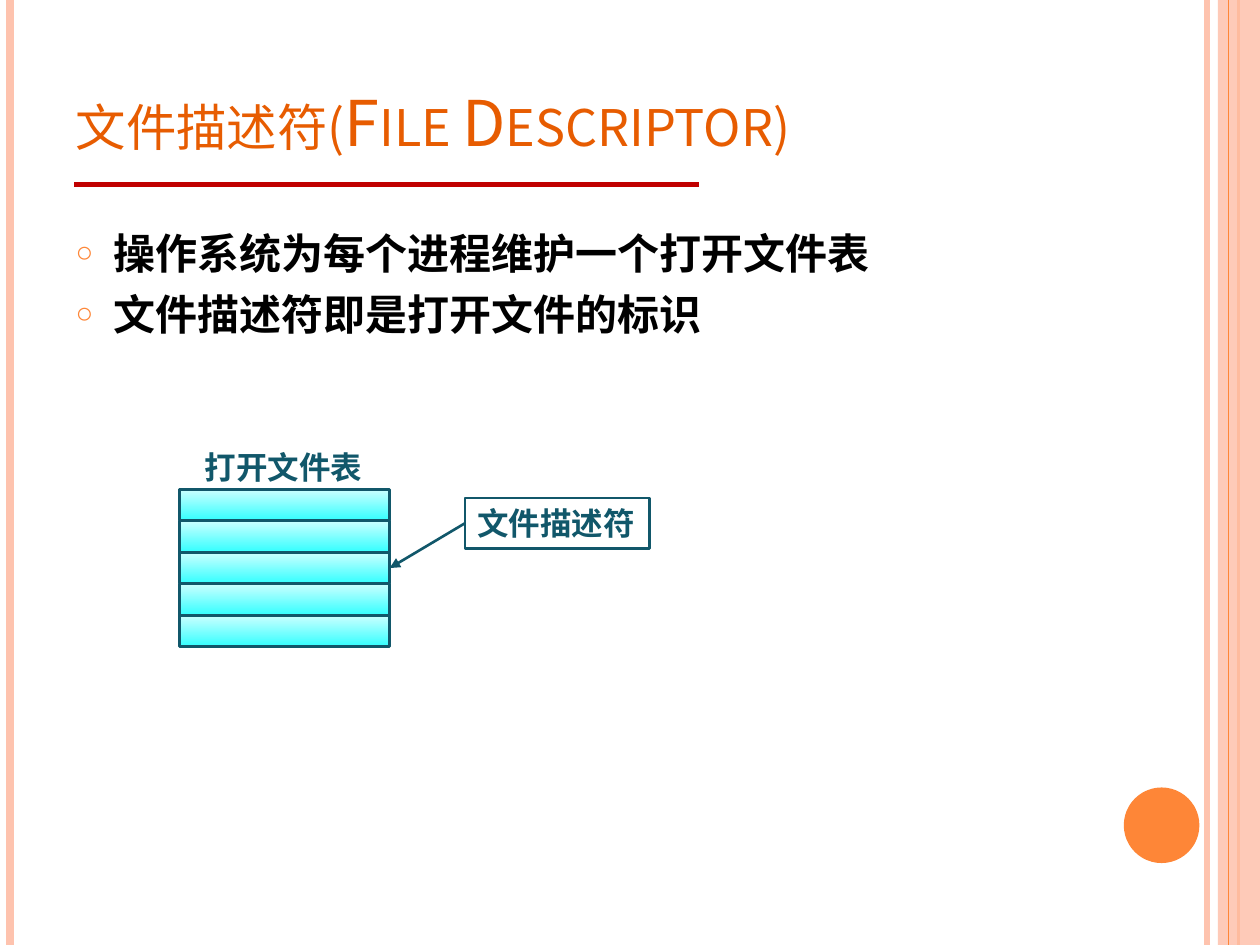
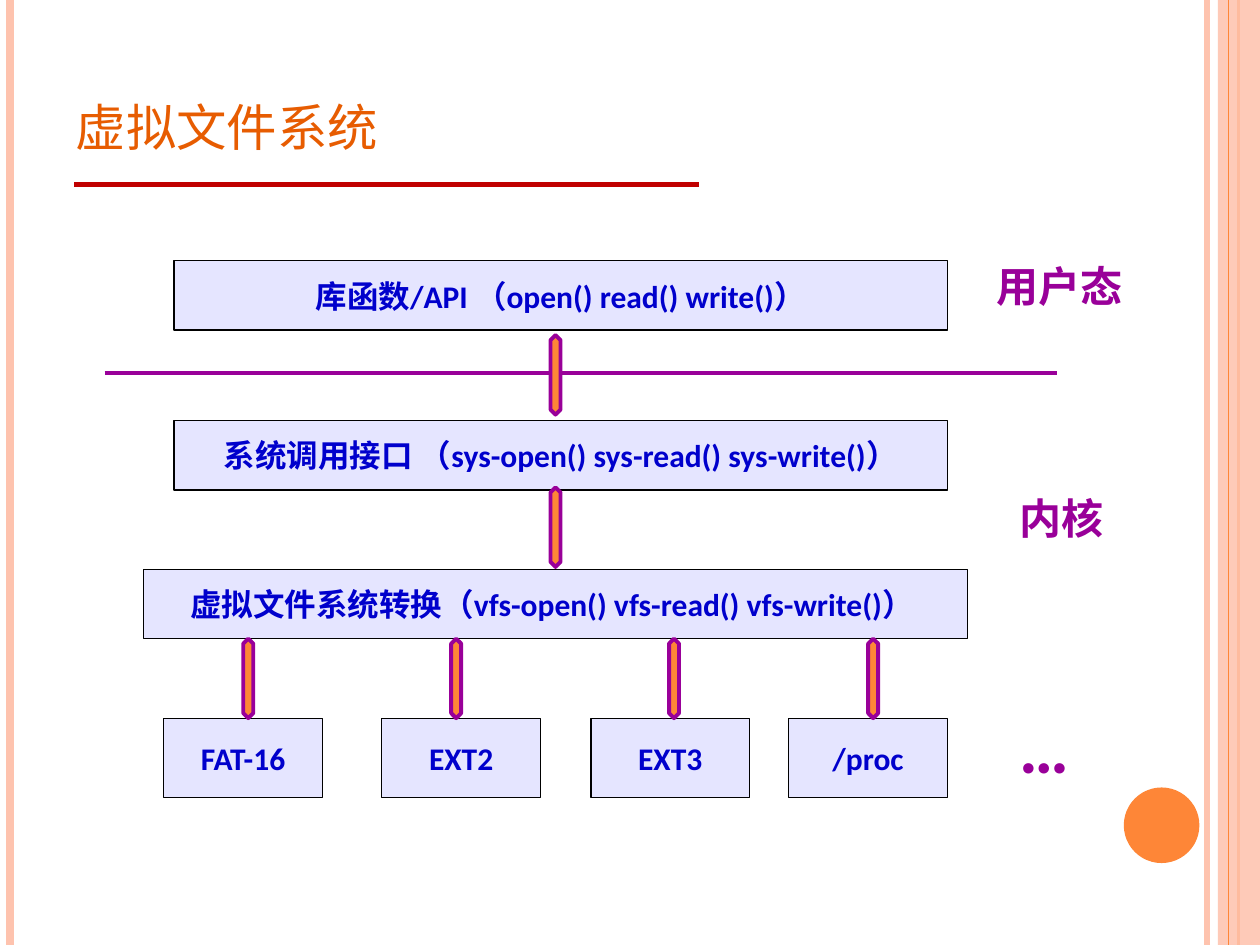
"""Build two slides on file descriptors and the virtual file system."""
from lxml import etree
from pptx import Presentation
from pptx.dml.color import RGBColor
from pptx.enum.shapes import MSO_CONNECTOR, MSO_SHAPE
from pptx.enum.text import MSO_ANCHOR as ANCHOR, MSO_AUTO_SIZE as AUTO_SIZE, PP_ALIGN as ALIGN
from pptx.oxml.ns import qn
from pptx.util import Pt

PEACH = RGBColor(0xFE, 0xC3, 0xAE)
ORANGE = RGBColor(0xFE, 0x86, 0x37)
TITLE_ORANGE = RGBColor(0xE7, 0x5C, 0x01)
RED = RGBColor(0xC0, 0x00, 0x00)
BLACK = RGBColor(0x00, 0x00, 0x00)
TEAL = RGBColor(0x11, 0x57, 0x6A)
PALE_CYAN = RGBColor(0xCC, 0xFF, 0xFF)
CYAN = RGBColor(0x33, 0xFF, 0xFF)
LAVENDER = RGBColor(0xE5, 0xE5, 0xFF)
BLUE = RGBColor(0x00, 0x00, 0xCC)
PURPLE = RGBColor(0x99, 0x00, 0x99)
CJK_FONT = "Noto Sans CJK SC"


def write_text(shape, *lines, size, color, font="Calibri", bold=True, small_caps=False,
               align=ALIGN.LEFT, anchor=ANCHOR.TOP, wrap=False, bullet=None, spacing=None):
    frame = shape.text_frame
    frame.word_wrap = wrap
    frame.auto_size = AUTO_SIZE.NONE
    frame.vertical_anchor = anchor
    for index, line in enumerate(lines):
        paragraph = frame.paragraphs[0] if index == 0 else frame.add_paragraph()
        paragraph.alignment = align
        paragraph.space_before = Pt(6 if index else 0)
        if spacing:
            paragraph.line_spacing = Pt(spacing)
        if bullet:
            properties = paragraph._p.get_or_add_pPr()
            properties.set("marL", str(Pt(21.6)))
            properties.set("indent", str(Pt(-21.6)))
            bullet_color = etree.SubElement(properties, qn("a:buClr"))
            etree.SubElement(bullet_color, qn("a:srgbClr"), val=str(ORANGE))
            etree.SubElement(properties, qn("a:buSzPct"), val="70000")
            etree.SubElement(properties, qn("a:buChar"), char=bullet)
        run = paragraph.add_run()
        run.text = line
        run.font.size = Pt(size)
        run.font.bold = bold
        run.font.name = font
        run.font.color.rgb = color
        run_properties = run._r.get_or_add_rPr()
        etree.SubElement(run_properties, qn("a:ea"), typeface=font)
        if small_caps:
            run_properties.set("cap", "small")


def add_line(slide, x1, y1, x2, y2, color, width):
    line = slide.shapes.add_connector(MSO_CONNECTOR.STRAIGHT, Pt(x1), Pt(y1), Pt(x2), Pt(y2))
    line.line.color.rgb = color
    line.line.width = Pt(width)
    etree.SubElement(line._element.spPr, qn("a:effectLst"))
    return line


presentation = Presentation()
presentation.slide_width = Pt(720)
presentation.slide_height = Pt(540)

slides = []
for title, layout in (("文件描述符(File Descriptor)", 1), ("虚拟文件系统", 5)):
    slide = presentation.slides.add_slide(presentation.slide_layouts[layout])
    slides.append(slide)
    for x, color, width in ((689.8, PEACH, 3), (5.8, PEACH, 4.5), (707.8, ORANGE, 1.5)):
        add_line(slide, x, 0, x, 540, color, width)
    band = slide.shapes.add_shape(MSO_SHAPE.RECTANGLE, Pt(696), 0, Pt(24), Pt(540))
    disc = slide.shapes.add_shape(MSO_SHAPE.OVAL, Pt(642.2), Pt(450), Pt(43.2), Pt(43.2))
    for shape, color in ((band, PEACH), (disc, ORANGE)):
        shape.shadow.inherit = False
        shape.fill.solid()
        shape.fill.fore_color.rgb = color
        shape.line.fill.background()
    band_color = next(band._element.spPr.iter(qn("a:srgbClr")))
    etree.SubElement(band_color, qn("a:alpha"), val="87000")
    add_line(slide, 702, 0, 702, 540, ORANGE, 0.75)
    add_line(slide, 42.5, 105.6, 399.5, 105.6, RED, 3)

    heading = slide.shapes.title
    heading.left, heading.top, heading.width, heading.height = Pt(36), Pt(21.6), Pt(588), Pt(72.7)
    write_text(heading, title, size=36, color=TITLE_ORANGE, font=CJK_FONT, bold=False,
               small_caps=True, anchor=ANCHOR.BOTTOM, wrap=True)

descriptor_slide, vfs_slide = slides

body = descriptor_slide.placeholders[1]
body.left, body.top, body.width, body.height = Pt(36), Pt(126), Pt(588), Pt(384)
write_text(body, "操作系统为每个进程维护一个打开文件表", "文件描述符即是打开文件的标识",
           size=24, color=BLACK, font=CJK_FONT, wrap=True, bullet="○", spacing=29)

descriptor = descriptor_slide.shapes.add_shape(
    MSO_SHAPE.RECTANGLE, Pt(265.7), Pt(284.6), Pt(105.5), Pt(29))
descriptor.shadow.inherit = False
descriptor.fill.background()
descriptor.line.color.rgb = TEAL
descriptor.line.width = Pt(1.5)
write_text(descriptor, "文件描述符", size=18, color=TEAL, font="Arial")

table_label = descriptor_slide.shapes.add_textbox(Pt(110), Pt(252.7), Pt(105.5), Pt(29))
write_text(table_label, "打开文件表", size=18, color=TEAL, font="Arial")

for row in range(5):
    entry = descriptor_slide.shapes.add_shape(
        MSO_SHAPE.RECTANGLE, Pt(102.7), Pt(279.6 + 18 * row), Pt(120), Pt(18))
    entry.shadow.inherit = False
    entry.fill.gradient()
    entry.fill.gradient_angle = 270
    for stop, color in zip(entry.fill.gradient_stops, (PALE_CYAN, CYAN)):
        stop.color.rgb = color
    entry.line.color.rgb = TEAL
    entry.line.width = Pt(1.5)

pointer = add_line(descriptor_slide, 265.7, 299, 222.7, 324.6, TEAL, 1.5)
etree.SubElement(pointer.line._get_or_add_ln(), qn("a:tailEnd"), type="triangle")

layers = [
    ("库函数/API （open() read() write()）", 99.4, 149, 442, 39.6),
    ("系统调用接口 （sys-open() sys-read() sys-write()）", 99.4, 240.4, 442, 39.6),
    ("虚拟文件系统转换（vfs-open() vfs-read() vfs-write()） ", 82.1, 325.4, 471, 39.6),
]
file_systems = [("FAT-16", 93.6), ("EXT2", 218.2), ("EXT3", 337.7), ("/proc", 450.7)]
boxes = layers + [(name, left, 410.4, 90.7, 45.4) for name, left in file_systems]
for text, left, top, width, height in boxes:
    box = vfs_slide.shapes.add_shape(MSO_SHAPE.RECTANGLE, Pt(left), Pt(top), Pt(width), Pt(height))
    box.shadow.inherit = False
    box.fill.solid()
    box.fill.fore_color.rgb = LAVENDER
    box.line.color.rgb = BLACK
    box.line.width = Pt(0.75)
    write_text(box, text, size=18, color=BLUE, align=ALIGN.CENTER, anchor=ANCHOR.MIDDLE)

add_line(vfs_slide, 59.8, 213.1, 604, 213.1, PURPLE, 2.25)

arrows = [(left, 365) for left in (139, 257.8, 382.3, 496.1)] + [(314.6, 278.6), (314.6, 191.5)]
for left, top in arrows:
    arrow = vfs_slide.shapes.add_shape(
        MSO_SHAPE.UP_DOWN_ARROW, Pt(left), Pt(top), Pt(5.7), Pt(45.4))
    arrow.adjustments[0] = 0.5
    arrow.adjustments[1] = 1.58
    arrow.shadow.inherit = False
    arrow.fill.solid()
    arrow.fill.fore_color.rgb = ORANGE
    arrow.line.color.rgb = PURPLE
    arrow.line.width = Pt(2.25)

for text, left, top, width, height, size in (
        ("用户态", 562.3, 145.4, 86.4, 36, 24),
        ("内核", 575.3, 277.9, 62.6, 36, 24),
        ("…", 575.3, 398.2, 43.2, 55.4, 40)):
    label = vfs_slide.shapes.add_textbox(Pt(left), Pt(top), Pt(width), Pt(height))
    write_text(label, text, size=size, color=PURPLE)

presentation.save("out.pptx")
